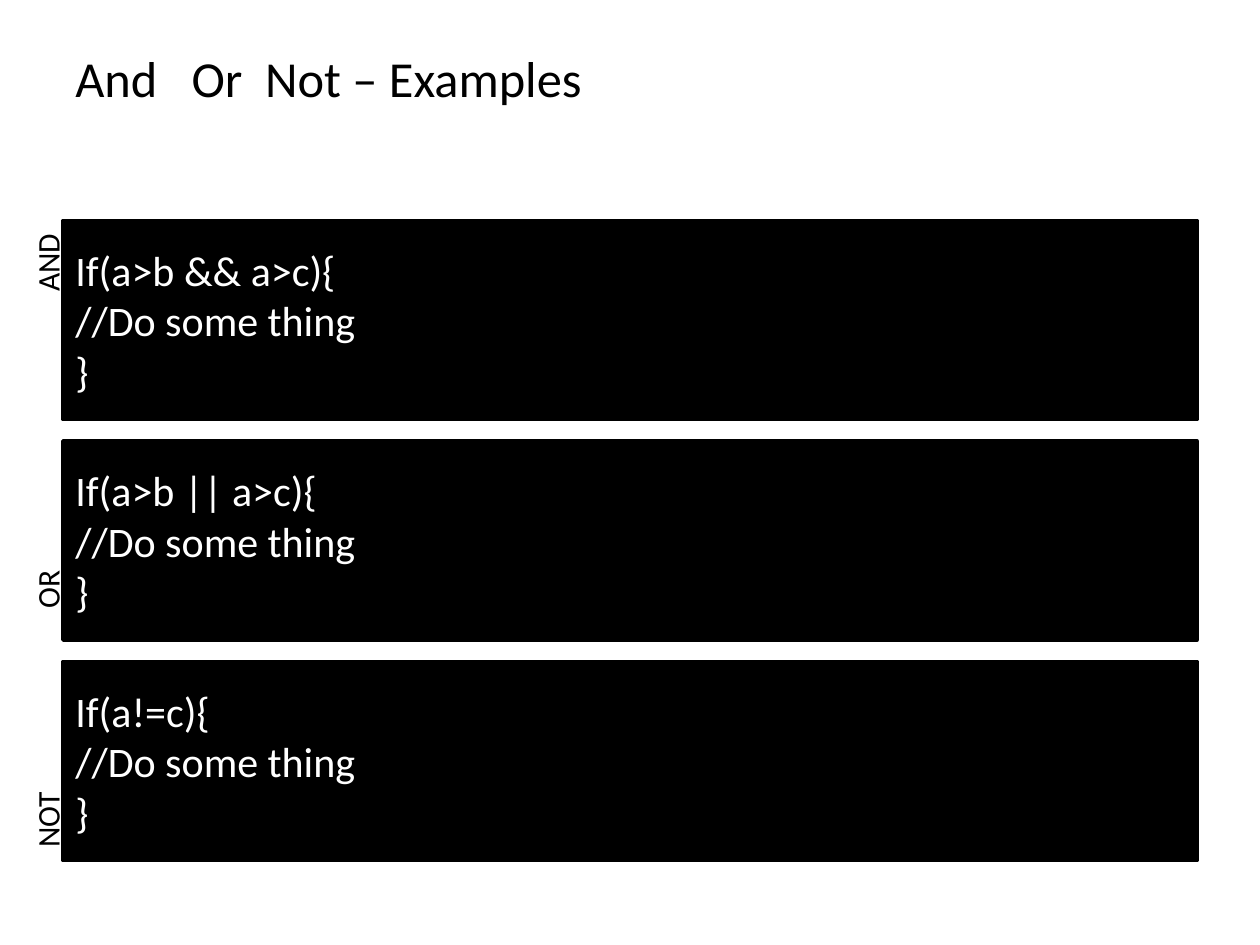
"""Build the slide of And, Or and Not examples."""
from dataclasses import dataclass

from pptx import Presentation
from pptx.dml.color import RGBColor
from pptx.enum.shapes import MSO_SHAPE
from pptx.enum.text import MSO_ANCHOR, MSO_AUTO_SIZE, PP_ALIGN
from pptx.shapes.autoshape import Shape
from pptx.slide import Slide
from pptx.util import Pt


@dataclass(frozen=True)
class Theme:
    font: str = "Calibri"
    dark: RGBColor = RGBColor(0, 0, 0)
    light: RGBColor = RGBColor(255, 255, 255)
    title_size: float = 28.8
    code_size: float = 24
    label_size: float = 18


@dataclass(frozen=True)
class Example:
    label: str
    condition: str
    label_width: float
    label_middle: float


THEME = Theme()
MARGIN = 36
CONTENT_WIDTH = 648
FIRST_TOP = 126
PITCH = 126
BLOCK_HEIGHT = 113.76
LABEL_CENTRE = 27
LABEL_HEIGHT = 29
EXAMPLES = [
    Example("AND", "a>b && a>c", 48, 149.76),
    Example("OR", "a>b || a>c", 37, 336.24),
    Example("NOT", "a!=c", 47, 468),
]


def write_lines(box: Shape, lines: list[str], size: float, color: RGBColor) -> None:
    """Write each line as a left-aligned paragraph."""
    frame = box.text_frame
    for index, line in enumerate(lines):
        para = frame.add_paragraph() if index else frame.paragraphs[0]
        para.alignment = PP_ALIGN.LEFT
        span = para.add_run()
        span.text = line
        span.font.name = THEME.font
        span.font.size = Pt(size)
        span.font.color.rgb = color


def add_title(page: Slide, title: str) -> None:
    """Add the heading above the examples."""
    box = page.shapes.add_textbox(Pt(MARGIN), Pt(21.6), Pt(CONTENT_WIDTH), Pt(44.64))
    box.text_frame.word_wrap = True
    box.text_frame.vertical_anchor = MSO_ANCHOR.MIDDLE
    write_lines(box, [title], THEME.title_size, THEME.dark)


def add_code(page: Slide, example: Example, top: float) -> None:
    """Add the dark block with the code of one example."""
    block = page.shapes.add_shape(
        MSO_SHAPE.RECTANGLE, Pt(MARGIN), Pt(top), Pt(CONTENT_WIDTH), Pt(BLOCK_HEIGHT)
    )
    block.shadow.inherit = False
    block.fill.solid()
    block.fill.fore_color.rgb = THEME.dark
    block.line.color.rgb = THEME.dark
    block.line.width = Pt(2)
    block.text_frame.word_wrap = True
    block.text_frame.vertical_anchor = MSO_ANCHOR.MIDDLE
    lines = [f"If({example.condition}){{", "//Do some thing", "}"]
    write_lines(block, lines, THEME.code_size, THEME.light)


def add_label(page: Slide, example: Example) -> None:
    """Add the operator name, turned to read upwards."""
    box = page.shapes.add_textbox(
        Pt(LABEL_CENTRE - example.label_width / 2),
        Pt(example.label_middle - LABEL_HEIGHT / 2),
        Pt(example.label_width),
        Pt(LABEL_HEIGHT),
    )
    box.rotation = 270
    box.text_frame.word_wrap = False
    box.text_frame.auto_size = MSO_AUTO_SIZE.SHAPE_TO_FIT_TEXT
    write_lines(box, [example.label], THEME.label_size, THEME.dark)


def main() -> None:
    """Create and save the deck."""
    deck = Presentation()
    deck.slide_width, deck.slide_height = Pt(720), Pt(540)
    page = deck.slides.add_slide(deck.slide_layouts[6])
    add_title(page, "And   Or  Not – Examples")
    for index, example in enumerate(EXAMPLES):
        add_code(page, example, FIRST_TOP + index * PITCH)
    for example in EXAMPLES:
        add_label(page, example)
    deck.save("out.pptx")


main()
